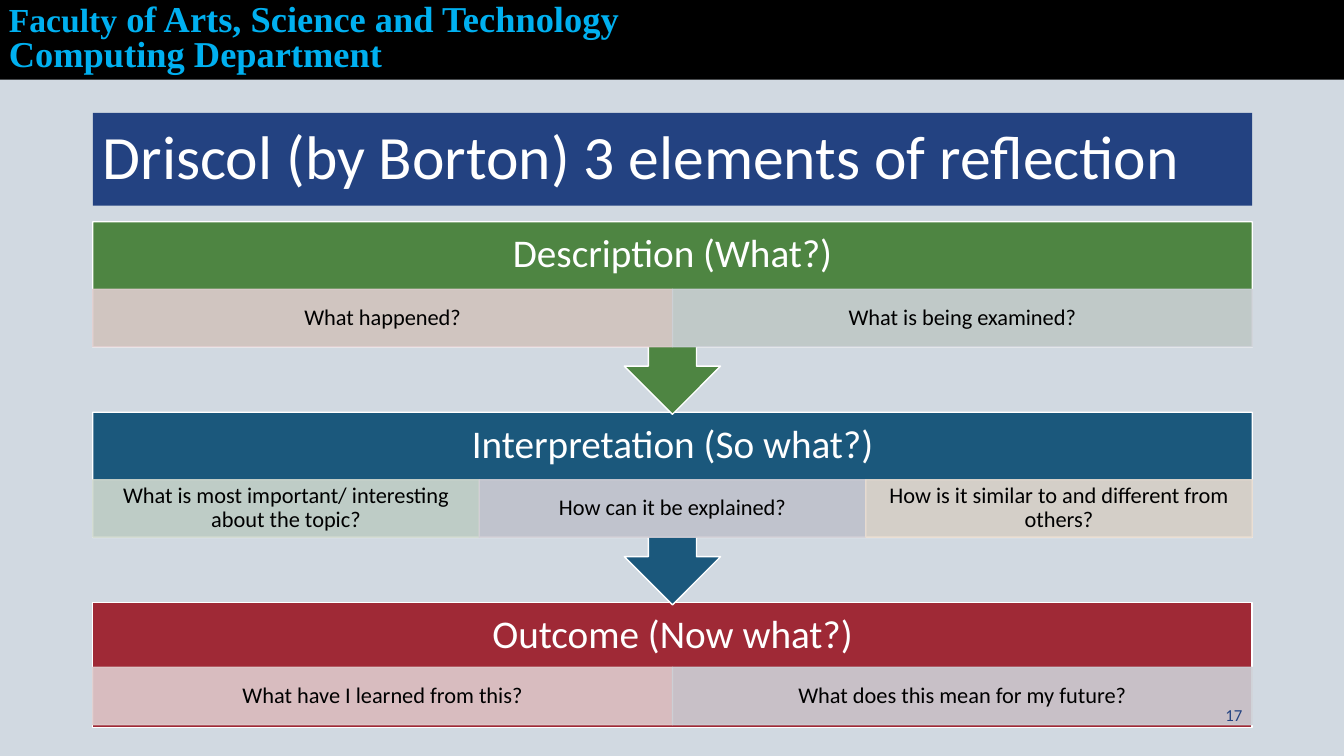
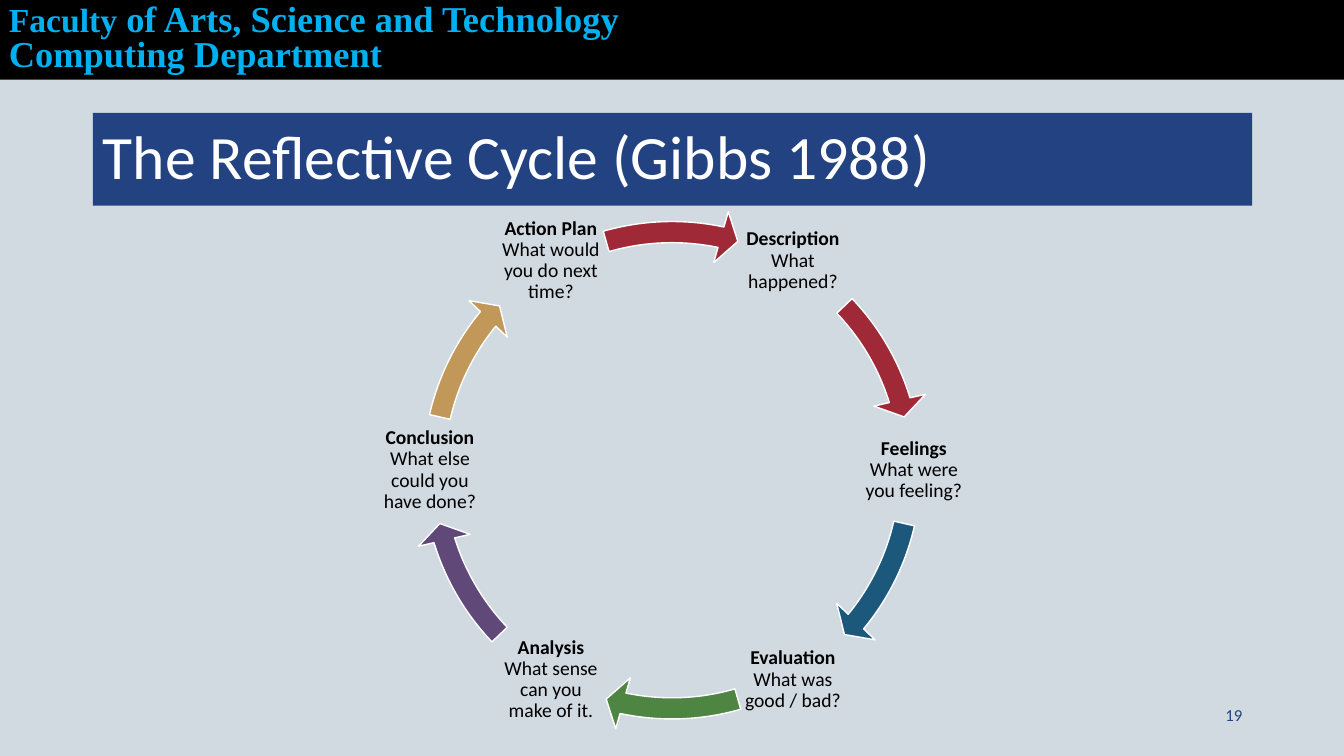
import math

from lxml import etree
from pptx import Presentation
from pptx.dml.color import RGBColor
from pptx.enum import shapes, text
from pptx.oxml.ns import qn
from pptx.util import Inches, Pt

BLACK = RGBColor(0x00, 0x00, 0x00)
WHITE = RGBColor(0xFF, 0xFF, 0xFF)
PALE = RGBColor(0xD1, 0xD9, 0xE1)
NAVY = RGBColor(0x23, 0x42, 0x81)
SKY = RGBColor(0x00, 0xB0, 0xF0)
RED = RGBColor(0x9F, 0x29, 0x36)
BLUE = RGBColor(0x1B, 0x58, 0x7C)
GREEN = RGBColor(0x4E, 0x85, 0x42)
PLUM = RGBColor(0x60, 0x48, 0x78)
GOLD = RGBColor(0xC1, 0x98, 0x59)
ROSE = RGBColor(0xDF, 0xCD, 0xCE)
MIST = RGBColor(0xCD, 0xD1, 0xD7)
SAGE = RGBColor(0xD0, 0xD9, 0xCF)
LILAC = RGBColor(0xD2, 0xCF, 0xD6)
SAND = RGBColor(0xE9, 0xDD, 0xD1)

WIDE, HIGH = 13.33, 7.5
LEFT, SPAN = 0.92, 11.5
KIND = shapes.MSO_SHAPE
ALIGN, ANCHOR = text.PP_ALIGN, text.MSO_ANCHOR

# heading, shape, colour, height, top of the cells, cells
STAGES = [
    ("Description (What?)", KIND.DOWN_ARROW_CALLOUT, GREEN, 1.91, 0.67,
     [("What happened?", ROSE), ("What is being examined?", MIST)]),
    ("Interpretation (So what?)", KIND.DOWN_ARROW_CALLOUT, BLUE, 1.91, 0.67,
     [("What is most important/ interesting about the topic?", SAGE),
      ("How can it be explained?", LILAC),
      ("How is it similar to and different from others?", SAND)]),
    ("Outcome (Now what?)", KIND.RECTANGLE, RED, 1.24, 0.64,
     [("What have I learned from this?", ROSE),
      ("What does this mean for my future?", MIST)]),
]

# step, question, colour of the arrow that leaves it
STEPS = [
    ("Description", "What happened?", RED),
    ("Feelings", "What were you feeling?", BLUE),
    ("Evaluation", "What was good / bad?", GREEN),
    ("Analysis", "What sense can you make of it.", PLUM),
    ("Conclusion", "What else could you have done?", GOLD),
    ("Action Plan", "What would you do next time?", RED),
]
# start and end of an arrow in degrees; opposite arrows differ by 180
ARCS = [(316.37, 342.9), (12.93, 39.46), (73.96, 101.87)]


def write(frame, *paras, font="Calibri", size=16, color=BLACK, bold=False,
          align=ALIGN.CENTER, anchor=ANCHOR.MIDDLE, inset=(0.1, 0.05),
          space=0.9):
    """Fill a frame; a paragraph is a list of (text, changed format) runs."""
    frame.word_wrap = True
    frame.auto_size = text.MSO_AUTO_SIZE.NONE
    frame.vertical_anchor = anchor
    frame.margin_left = frame.margin_right = Inches(inset[0])
    frame.margin_top = frame.margin_bottom = Inches(inset[1])
    for i, runs in enumerate(paras):
        para = frame.add_paragraph() if i else frame.paragraphs[0]
        para.alignment, para.line_spacing = align, space
        for words, change in runs:
            run = para.add_run()
            run.text = words
            face = run.font
            face.name = font
            face.size = Pt(change.get("size", size))
            face.bold = change.get("bold", bold)
            face.color.rgb = color


def label(slide, box, *paras, **form):
    area = slide.shapes.add_textbox(*map(Inches, box))
    write(area.text_frame, *paras, **form)
    return area


def block(slide, kind, box, fill, line=None):
    shape = slide.shapes.add_shape(kind, *map(Inches, box))
    shape.shadow.inherit = False
    shape.fill.solid()
    shape.fill.fore_color.rgb = fill
    if line is None:
        shape.line.fill.background()
    else:
        shape.line.color.rgb = line
        shape.line.width = Pt(1)
    return shape


def fade(shape, part):
    """Set the opacity of a shape's fill and line."""
    props = shape.element.find(qn("p:spPr"))
    for tone in props.iter(qn("a:srgbClr")):
        etree.SubElement(tone, qn("a:alpha")).set("val", str(int(part * 100000)))


def brand(slide, layout):
    """Put the top band on the layout, so that every slide shows it."""
    band = block(slide, KIND.RECTANGLE, (0, 0, WIDE, 0.79), BLACK)
    name = label(slide, (-0.01, 0, 6.86, 0.89),
                 [("Faculty", {"size": 24}),
                  (" of Arts, Science and Technology", {})],
                 [("Computing Department", {})],
                 font="Times New Roman", size=26, color=SKY, bold=True,
                 align=ALIGN.LEFT, anchor=ANCHOR.TOP, space=0.8)
    for item in (band, name):
        layout.shapes.element.append(item.element)


def start(deck, title, number):
    slide = deck.slides.add_slide(deck.slide_layouts[5])
    head = slide.shapes.title
    head.left, head.top = Inches(LEFT), Inches(1.12)
    head.width, head.height = Inches(SPAN), Inches(0.92)
    head.fill.solid()
    head.fill.fore_color.rgb = NAVY
    write(head.text_frame, [(title, {})], size=44, color=WHITE,
          align=ALIGN.LEFT)
    return slide, str(number)


def page(slide, number):
    label(slide, (9.42, 6.89, 3, 0.4), [(number, {})], size=12, color=NAVY,
          align=ALIGN.RIGHT, space=1)


def stage(slide, x, y, w, data):
    title, kind, color, high, drop, cells = data
    body = block(slide, kind, (x, y, w, high), color, WHITE)
    write(body.text_frame, [(title, {})], size=28, color=WHITE,
          anchor=ANCHOR.TOP, inset=(0.22, 0.12))
    wide = w / len(cells)
    for i, (words, tint) in enumerate(cells):
        cell = block(slide, KIND.RECTANGLE,
                     (x + i * wide, y + drop, wide, 0.57), tint, tint)
        fade(cell, 0.9)
        write(cell.text_frame, [(words, {})], inset=(0.12, 0.02))


def flow(slide, x, y, w, pitch):
    for i in reversed(range(len(STAGES))):
        stage(slide, x, y + i * pitch, w, STAGES[i])


def cycle(slide, x, y, size):
    """Set the steps around a ring in a square box, with arrows between."""
    mid, ring, side = size / 2, 2.4, 1.07
    for i, (name, ask, color) in enumerate(STEPS):
        turn = math.radians(60 * i - 60)
        label(slide, (x + mid + ring * math.cos(turn) - side / 2,
                      y + mid + ring * math.sin(turn) - side / 2, side, side),
              [(name, {"bold": True})], [(ask, {})],
              size=14, inset=(0.02, 0.02))
        arrow = block(slide, KIND.CIRCULAR_ARROW, (x, y, size, size),
                      color, WHITE)
        half, place = divmod(i, len(ARCS))
        tail, tip = ((a + 180 * half) % 360 for a in ARCS[place])
        # angles count 60000 to a degree, adjustments 100000 to a unit
        for j, value in enumerate((0.04, 2.5, tip * 0.6, tail * 0.6, 0.05)):
            arrow.adjustments[j] = value


def main():
    deck = Presentation()
    deck.slide_width, deck.slide_height = Inches(WIDE), Inches(HIGH)
    back = deck.slide_master.background.fill
    back.solid()
    back.fore_color.rgb = PALE

    slide, number = start(deck, "Driscol (by Borton) 3 elements of reflection", 17)
    brand(slide, slide.slide_layout)
    flow(slide, LEFT, 2.2, SPAN, 1.89)
    page(slide, number)

    slide, number = start(deck, "The Reflective Cycle (Gibbs 1988)", 19)
    cycle(slide, 4.04, 2.04, 5.25)
    page(slide, number)
    deck.save("out.pptx")


if __name__ == "__main__":
    main()
